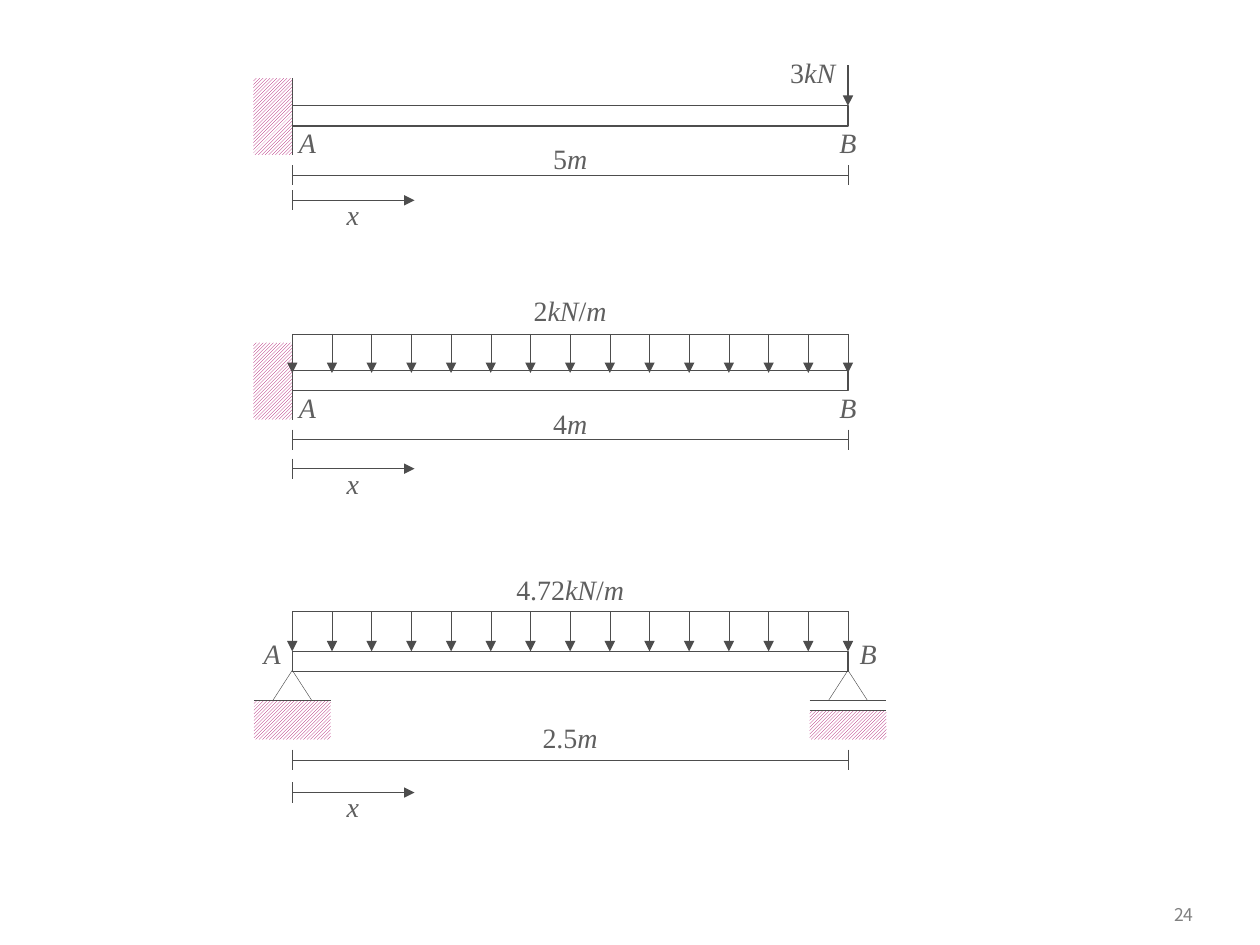
from dataclasses import dataclass
from itertools import groupby

from pptx import Presentation
from pptx.dml.color import RGBColor
from pptx.enum.dml import MSO_PATTERN
from pptx.enum.shapes import MSO_CONNECTOR, MSO_SHAPE
from pptx.enum.text import MSO_ANCHOR, PP_ALIGN
from pptx.oxml.ns import qn
from pptx.shapes.shapetree import GroupShapes
from pptx.util import Inches, Pt
from lxml.etree import SubElement

INK = RGBColor(0x4D, 0x4D, 0x4D)
LABEL = RGBColor(0x5F, 0x5F, 0x5F)
HATCH = RGBColor(0xA9, 0x01, 0x65)
WHITE = RGBColor(0xFF, 0xFF, 0xFF)
GREY = RGBColor(0x80, 0x80, 0x80)

LEFT, RIGHT = 2.32, 6.73
SPAN = RIGHT - LEFT
MIDDLE = (LEFT + RIGHT) / 2
DEPTH = 0.16
TICK = 0.08
LOAD_ARROWS = 15
SUPPORT_W = 0.61


@dataclass
class Beam:
    top: float
    dim_y: float
    dim_label_top: float
    length: str
    x_y: float
    x_label_h: float = 0.29


@dataclass
class Load:
    label: str
    top: float
    tip: float
    label_top: float
    label_w: float


def add_line(shapes: GroupShapes, x1: float, y1: float, x2: float, y2: float,
             arrow: bool = False, width: float = 0.25) -> None:
    c = shapes.add_connector(MSO_CONNECTOR.STRAIGHT, Inches(x1), Inches(y1),
                             Inches(x2), Inches(y2))
    c.line.color.rgb = INK
    c.line.width = Pt(width)
    if arrow:
        SubElement(c.line._get_or_add_ln(), qn("a:tailEnd"), type="triangle")
    SubElement(c._element.spPr, qn("a:effectLst"))


def add_outline(shapes: GroupShapes, kind: MSO_SHAPE, x: float, y: float,
                w: float, h: float, width: float) -> None:
    sp = shapes.add_shape(kind, Inches(x), Inches(y), Inches(w), Inches(h))
    sp.shadow.inherit = False
    sp.fill.background()
    sp.line.color.rgb = INK
    sp.line.width = Pt(width)


def add_hatch(shapes: GroupShapes, x: float, y: float, h: float,
              rotation: float = 0) -> None:
    sp = shapes.add_shape(MSO_SHAPE.RECTANGLE, Inches(x), Inches(y),
                          Inches(SUPPORT_W), Inches(h))
    sp.rotation = rotation
    sp.shadow.inherit = False
    sp.fill.patterned()
    sp.fill.pattern = MSO_PATTERN.LIGHT_UPWARD_DIAGONAL
    sp.fill.fore_color.rgb = HATCH
    sp.fill.back_color.rgb = WHITE
    sp.line.fill.background()


def add_label(shapes: GroupShapes, text: str, center: float, y: float,
              w: float, h: float = 0.32) -> None:
    tf = shapes.add_textbox(Inches(center - w / 2), Inches(y), Inches(w), Inches(h)).text_frame
    tf.margin_left = tf.margin_right = tf.margin_top = tf.margin_bottom = 0
    tf.word_wrap = True
    p = tf.paragraphs[0]
    p.alignment = PP_ALIGN.CENTER
    for is_symbol, chars in groupby(text, str.isalpha):
        r = p.add_run()
        r.text = "".join(chars)
        r.font.name = "Times New Roman"
        r.font.size = Pt(16)
        r.font.italic = is_symbol
        r.font.color.rgb = LABEL


def add_beam(shapes: GroupShapes, beam: Beam) -> None:
    add_outline(shapes, MSO_SHAPE.RECTANGLE, LEFT, beam.top, SPAN, DEPTH, 0.75)
    for x in (LEFT, RIGHT):
        add_line(shapes, x, beam.dim_y - TICK, x, beam.dim_y + TICK)
    add_line(shapes, LEFT, beam.dim_y, RIGHT, beam.dim_y)
    add_label(shapes, beam.length, MIDDLE, beam.dim_label_top, 0.63)
    add_line(shapes, LEFT, beam.x_y - TICK, LEFT, beam.x_y + TICK)
    add_line(shapes, LEFT, beam.x_y, LEFT + 0.97, beam.x_y, arrow=True)
    add_label(shapes, "x", 2.8, beam.x_y - 0.02, 0.33, beam.x_label_h)


def add_wall(shapes: GroupShapes, beam: Beam) -> None:
    top = beam.top - 0.22
    add_hatch(shapes, 1.86, top + 0.15, 0.31, rotation=90)
    add_line(shapes, LEFT, top, LEFT, top + SUPPORT_W)
    add_label(shapes, "A", LEFT + 0.12, beam.top + DEPTH, 0.24, 0.27)
    add_label(shapes, "B", RIGHT, beam.top + DEPTH, 0.31, 0.27)


def add_simple_supports(shapes: GroupShapes, beam: Beam) -> None:
    base = beam.top + 0.39
    roller = base + 0.08
    for x, ground, depth in ((LEFT, base, 0.31), (RIGHT, roller, 0.23)):
        edge = x - SUPPORT_W / 2
        add_hatch(shapes, edge, ground, depth)
        for y in sorted({base, ground}):
            add_line(shapes, edge, y, edge + SUPPORT_W, y)
        add_outline(shapes, MSO_SHAPE.ISOSCELES_TRIANGLE, x - 0.155,
                    beam.top + DEPTH - 0.01, 0.31, 0.24, 0.25)
    for text, center in (("A", LEFT - 0.16), ("B", RIGHT + 0.16)):
        add_label(shapes, text, center, beam.top - 0.12, 0.47, 0.37)


def add_distributed_load(shapes: GroupShapes, load: Load) -> None:
    add_line(shapes, LEFT, load.top, RIGHT, load.top)
    for i in range(LOAD_ARROWS):
        x = LEFT + i * SPAN / (LOAD_ARROWS - 1)
        add_line(shapes, x, load.top, x, load.tip, arrow=True)
    add_label(shapes, load.label, MIDDLE, load.label_top, load.label_w)


def add_point_load(shapes: GroupShapes, load: Load) -> None:
    add_line(shapes, RIGHT, load.top, RIGHT, load.tip, arrow=True, width=1.5)
    add_label(shapes, load.label, RIGHT - 0.28, load.label_top, load.label_w)


def add_page_number(shapes: GroupShapes, number: str) -> None:
    tf = shapes.add_textbox(Inches(8.86), Inches(7.09), Inches(0.71), Inches(0.33)).text_frame
    tf.word_wrap = True
    tf.vertical_anchor = MSO_ANCHOR.MIDDLE
    tf.text = number
    p = tf.paragraphs[0]
    p.alignment = PP_ALIGN.RIGHT
    r = p.runs[0]
    r.font.name = "Noto Sans CJK KR"
    r.font.size = Pt(10)
    r.font.color.rgb = GREY


DIAGRAMS = (
    (Beam(0.84, 1.39, 1.12, "5m", 1.59), add_wall,
     Load("3kN", 0.52, 0.84, 0.44, 0.39), add_point_load),
    (Beam(2.94, 3.49, 3.23, "4m", 3.72), add_wall,
     Load("2kN/m", 2.65, 2.96, 2.33, 0.63), add_distributed_load),
    (Beam(5.17, 6.03, 5.72, "2.5m", 6.29, 0.24), add_simple_supports,
     Load("4.72kN/m", 4.85, 5.17, 4.54, 0.94), add_distributed_load),
)


def main() -> None:
    prs = Presentation()
    prs.slide_width, prs.slide_height = Inches(10), Inches(7.5)
    s = prs.slides.add_slide(prs.slide_layouts[6])
    add_page_number(s.shapes, "24")
    for beam, add_supports, load, add_load in DIAGRAMS:
        shapes = s.shapes.add_group_shape().shapes
        add_supports(shapes, beam)
        add_beam(shapes, beam)
        add_load(shapes, load)
    prs.save("out.pptx")


if __name__ == "__main__":
    main()
